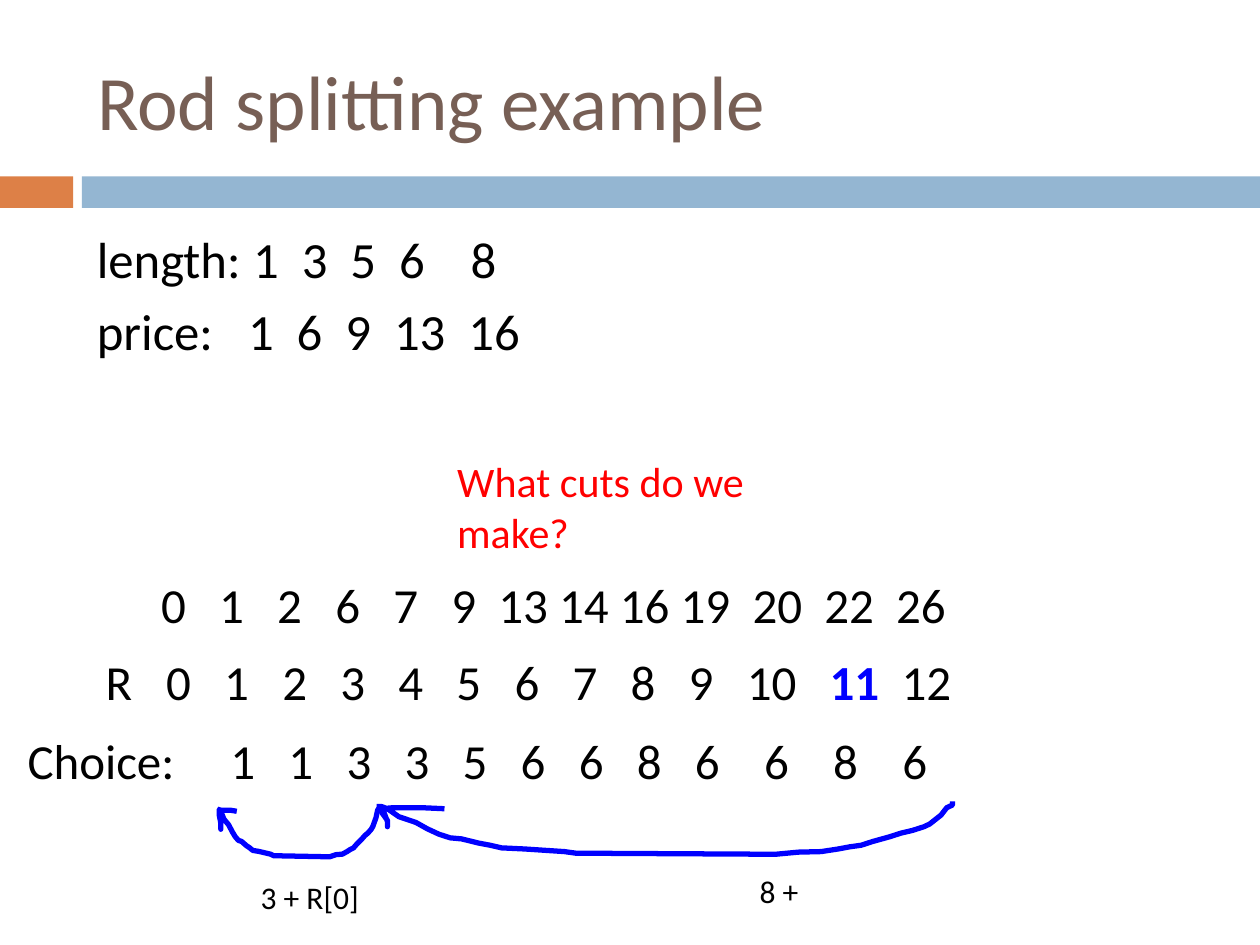
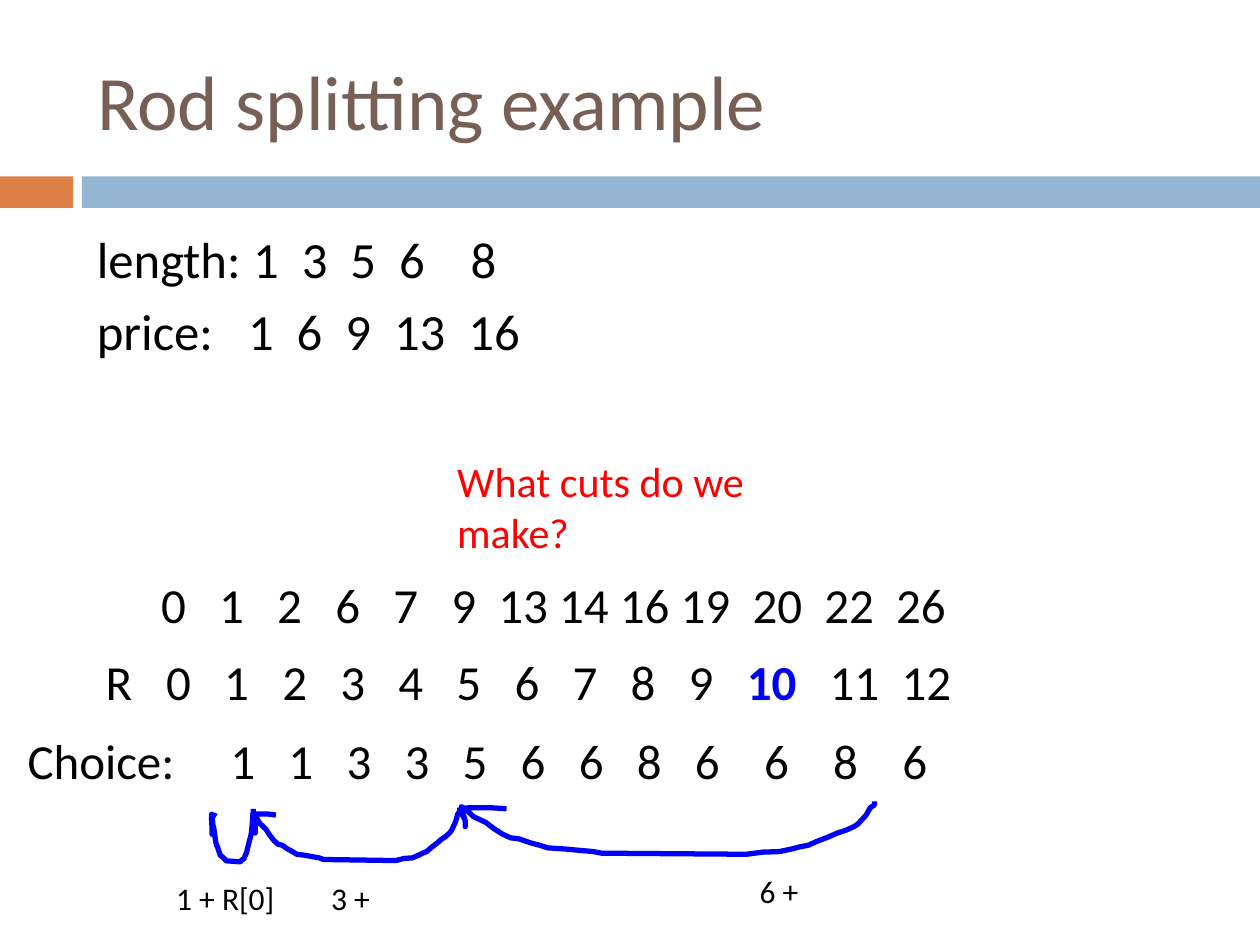
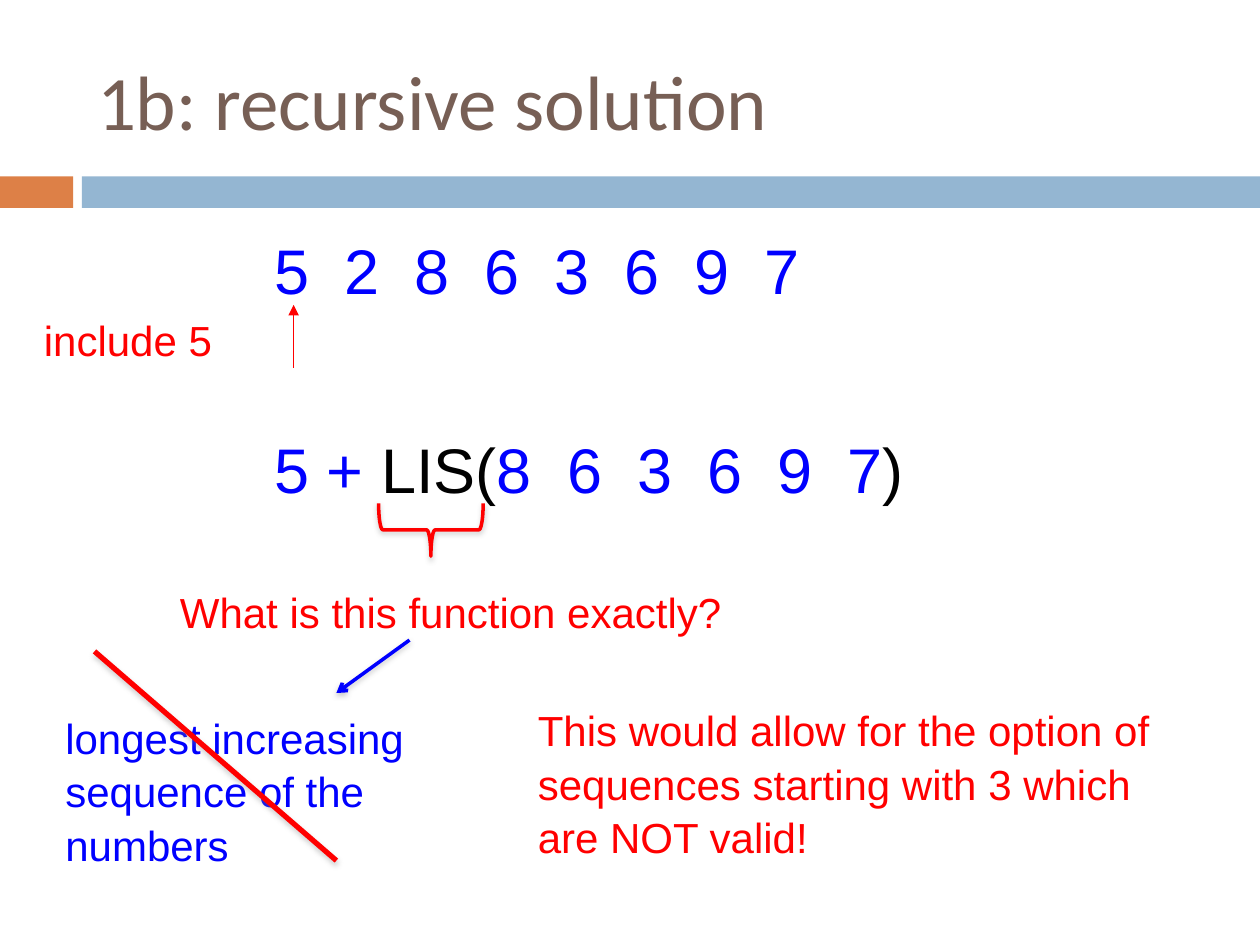
from dataclasses import dataclass
from itertools import accumulate

from lxml import etree
from pptx import Presentation
from pptx.dml.color import RGBColor
from pptx.enum.shapes import MSO_CONNECTOR as Connector, MSO_SHAPE as Shape
from pptx.enum.text import MSO_ANCHOR as Anchor, MSO_AUTO_SIZE as AutoSize, PP_ALIGN as Align
from pptx.oxml.ns import qn
from pptx.util import Inches, Pt

# Shared look
BLACK, RED, BLUE = "000000", "FF0000", "0000FF"
BROWN, ORANGE, SKY = "775F55", "DD8047", "94B6D2"
BANDS = ((0, 0.58, ORANGE), (0.65, 9.35, SKY))

# Advance of a digit and of a space, as a share of the text size
ADVANCES = {"Calibri": (0.507, 0.226), "Arial": (0.556, 0.278)}
LINE_SPACING = {"Calibri": 1.0, "Arial": 1.06}

# Hand-drawn arc with its arrowhead, as shares of width and height
ARC = (
    (1, 0), (1, 0.07), (0.99, 0.12), (0.98, 0.26), (0.96, 0.43), (0.95, 0.48),
    (0.93, 0.55), (0.91, 0.6), (0.89, 0.67), (0.86, 0.76), (0.84, 0.83),
    (0.82, 0.86), (0.8, 0.9), (0.77, 0.95), (0.73, 0.96), (0.69, 1),
    (0.34, 0.98), (0.32, 0.95), (0.25, 0.9), (0.21, 0.88), (0.19, 0.83),
    (0.17, 0.79), (0.14, 0.71), (0.12, 0.69), (0.1, 0.62), (0.08, 0.52),
    (0.06, 0.4), (0.03, 0.29), (0.01, 0.14), (0, 0.1), (0.01, 0.38),
    (0.01, 0.48), (0.01, 0.36), (0, 0.21), (0, 0.14), (0.02, 0.12),
    (0.07, 0.12), (0.11, 0.14),
)


@dataclass(frozen=True)
class Span:
    text: str
    color: str = BLACK
    bold: bool = False


@dataclass(frozen=True)
class Para:
    spans: tuple[Span, ...]
    stops: tuple[float, ...] = ()
    before: float = 0


@dataclass(frozen=True)
class Box:
    left: float
    top: float
    width: float
    height: float
    size: float
    paras: tuple[Para, ...]
    font: str = "Calibri"


@dataclass(frozen=True)
class Arc:
    left: float
    top: float
    width: float
    height: float = 0.42


@dataclass(frozen=True)
class Stroke:
    start: tuple[float, float]
    end: tuple[float, float]
    color: str
    weight: float
    head: str = ""
    shadow: bool = True


def rgb(color: str) -> RGBColor:
    return RGBColor.from_string(color)


def plain(text: str, color: str = BLACK) -> tuple[Para, ...]:
    return (Para((Span(text, color),)),)


def tab_stops(start: float, values: list[str], gaps: tuple[int, ...], size: float,
              font: str = "Calibri") -> tuple[float, ...]:
    """Left edge of each value, with gaps counted in space widths."""
    digit, space = (share * size / 72 for share in ADVANCES[font])
    steps = (len(value) * digit + gap * space for value, gap in zip(values, gaps))
    return tuple(accumulate(steps, initial=start))


def number_row(label: str, start: float, numbers: str, gaps: tuple[int, ...], size: float,
               marked: str = "", before: float = 0) -> Para:
    values = numbers.split()
    spans = [Span(label)]
    for value in values:
        spans.append(Span("\t"))
        spans.append(Span(value, BLUE, True) if value == marked else Span(value))
    return Para(tuple(spans), tab_stops(start, values, gaps, size), before)


def add_box(page, box: Box) -> None:
    shape = page.shapes.add_textbox(*map(Inches, (box.left, box.top, box.width, box.height)))
    frame = shape.text_frame
    frame.word_wrap = True
    frame.auto_size = AutoSize.SHAPE_TO_FIT_TEXT
    for index, item in enumerate(box.paras):
        para = frame.add_paragraph() if index else frame.paragraphs[0]
        if item.stops:
            tabs = etree.SubElement(para._p.get_or_add_pPr(), qn("a:tabLst"))
            for stop in item.stops:
                etree.SubElement(tabs, qn("a:tab"), pos=str(Inches(stop)), algn="l")
        para.line_spacing = LINE_SPACING[box.font]
        if item.before:
            para.space_before = Pt(item.before)
        for span in item.spans:
            run = para.add_run()
            run.text = span.text
            run.font.name = box.font
            run.font.size = Pt(box.size)
            run.font.bold = span.bold
            run.font.color.rgb = rgb(span.color)


def set_effects(shape, shadow: bool) -> None:
    effects = etree.SubElement(shape._element.spPr, qn("a:effectLst"))
    if shadow:
        outer = etree.SubElement(effects, qn("a:outerShdw"), blurRad=str(Pt(3.1)),
                                 dist=str(Pt(1.6)), dir="5400000", rotWithShape="0")
        color = etree.SubElement(outer, qn("a:srgbClr"), val="808080")
        etree.SubElement(color, qn("a:alpha"), val="38000")


def set_line(shape, color: str, weight: float) -> None:
    shape.line.color.rgb = rgb(color)
    shape.line.width = Pt(weight)


def add_arc(page, arc: Arc) -> None:
    points = [(Inches(arc.left + x * arc.width), Inches(arc.top + y * arc.height))
              for x, y in ARC]
    builder = page.shapes.build_freeform(*points[0])
    builder.add_line_segments(points[1:], close=False)
    shape = builder.convert_to_shape()
    shape.shadow.inherit = False
    shape.fill.background()
    set_line(shape, BLUE, 3)


def add_stroke(page, stroke: Stroke) -> None:
    line = page.shapes.add_connector(Connector.STRAIGHT, *map(Inches, stroke.start + stroke.end))
    set_line(line, stroke.color, stroke.weight)
    if stroke.head:
        etree.SubElement(line.line._get_or_add_ln(), qn("a:tailEnd"), type=stroke.head)
    set_effects(line, stroke.shadow)


def add_brace(page) -> None:
    brace = page.shapes.add_shape(Shape.LEFT_BRACE, *map(Inches, (3.21, 3.79, 0.42, 0.83)))
    brace.rotation = 270
    brace.adjustments[0] = 0.08
    brace.fill.background()
    set_line(brace, RED, 2)
    set_effects(brace, True)


def new_page(deck, heading: str):
    page = deck.slides.add_slide(deck.slide_layouts[5])
    for left, width, color in BANDS:
        band = page.shapes.add_shape(Shape.RECTANGLE, *map(Inches, (left, 1.4, width, 0.25)))
        band.shadow.inherit = False
        band.fill.solid()
        band.fill.fore_color.rgb = rgb(color)
        band.line.fill.background()
    title = page.shapes.title
    title.left, title.top, title.width, title.height = map(Inches, (0.67, 0.25, 8.92, 1.08))
    title.text_frame.vertical_anchor = Anchor.MIDDLE
    para = title.text_frame.paragraphs[0]
    para.alignment = Align.LEFT
    run = para.add_run()
    run.text = heading
    run.font.name = "Calibri"
    run.font.size = Pt(44)
    run.font.color.rgb = rgb(BROWN)
    return page


def rod_page(deck, marked: str, arcs: list[Arc], notes: list[tuple[float, float, str]]) -> None:
    page = new_page(deck, "Rod splitting example")
    # Prices by length
    add_box(page, Box(0.67, 1.76, 8.92, 1.16, 29, (
        number_row("length:", 1.24, "1 3 5 6 8", (2, 2, 2, 4), 29),
        number_row("price:", 1.2, "1 6 9 13 16", (2,) * 4, 29, before=6),
    )))
    # Best values, rod lengths and chosen cuts
    rows = (
        (0.74, 5.12, 8.01, number_row("R", 0.48, "0 1 2 3 4 5 6 7 8 9 10 11 12",
                                      (3,) * 11 + (2,), 28, marked)),
        (0.74, 4.51, 7.92, number_row("", 0.44, "0 1 2 6 7 9 13 14 16 19 20 22 26",
                                      (3,) * 5 + (2, 1, 1, 1, 2, 2, 2), 28)),
        (0.12, 5.75, 8.39, number_row("Choice:", 1.61, "1 1 3 3 5 6 6 8 6 6 8 6",
                                      (3,) * 8 + (4,) * 3, 28)),
    )
    for left, top, width, para in rows:
        add_box(page, Box(left, top, width, 0.57, 28, (para,)))
    add_box(page, Box(3.53, 3.57, 3.35, 0.5, 24, plain("What cuts do we make?", RED)))
    # Cuts traced back to zero
    for arc in arcs:
        add_arc(page, arc)
    for left, top, text in notes:
        add_box(page, Box(left, top, 1.53, 0.4, 18, plain(text)))


def recursion_page(deck) -> None:
    page = new_page(deck, "1b: recursive solution")
    # Sequence and recursive call
    sequence = "5 2 8 6 3 6 9 7".split()
    rest = sequence[2:]
    call = (Span("5 + ", BLUE), Span("LIS("), Span("\t".join(rest), BLUE), Span(")"))
    boxes = (
        Box(2.08, 1.75, 5.58, 0.7, 36, (
            Para((Span("\t".join(sequence), BLUE),),
                 tab_stops(0, sequence, (2,) * 7, 36, "Arial")[1:]),), "Arial"),
        Box(2.08, 3.33, 5.58, 0.71, 36, (
            Para(call, tab_stops(1.77, rest, (2,) * 5, 36, "Arial")[1:]),), "Arial"),
        Box(0.25, 2.42, 1.75, 0.5, 24, plain("include 5", RED), "Arial"),
        Box(1.33, 4.58, 5.67, 0.51, 24, plain("What is this function exactly?", RED), "Arial"),
        Box(0.42, 5.58, 3.58, 1.31, 24,
            plain("longest increasing sequence of the numbers", BLUE), "Arial"),
        Box(4.17, 5.52, 5.08, 1.31, 24,
            plain("This would allow for the option of sequences starting with 3 "
                  "which are NOT valid!", RED), "Arial"),
    )
    for box in boxes:
        add_box(page, box)
    # Brace, arrows and strike-out
    add_brace(page)
    for stroke in (
        Stroke((2.33, 2.92), (2.33, 2.42), RED, 0.75, "triangle", False),
        Stroke((3.25, 5.08), (2.67, 5.5), BLUE, 2, "arrow"),
        Stroke((0.75, 5.17), (2.67, 6.83), RED, 3),
    ):
        add_stroke(page, stroke)


def main() -> None:
    deck = Presentation()
    deck.slide_width, deck.slide_height = Inches(10), Inches(7.5)
    rod_page(deck, "11",
             [Arc(3.03, 6.36, 4.53), Arc(1.74, 6.38, 1.27)],
             [(5.93, 6.87, "8 +"), (1.97, 6.92, "3 + R[0]")])
    rod_page(deck, "10",
             [Arc(3.66, 6.36, 3.28), Arc(2.01, 6.41, 1.64), Arc(1.68, 6.42, 0.33)],
             [(5.93, 6.87, "6 +"), (2.53, 6.93, "3 +"), (1.3, 6.93, "1 + R[0]")])
    recursion_page(deck)
    deck.save("out.pptx")


if __name__ == "__main__":
    main()
